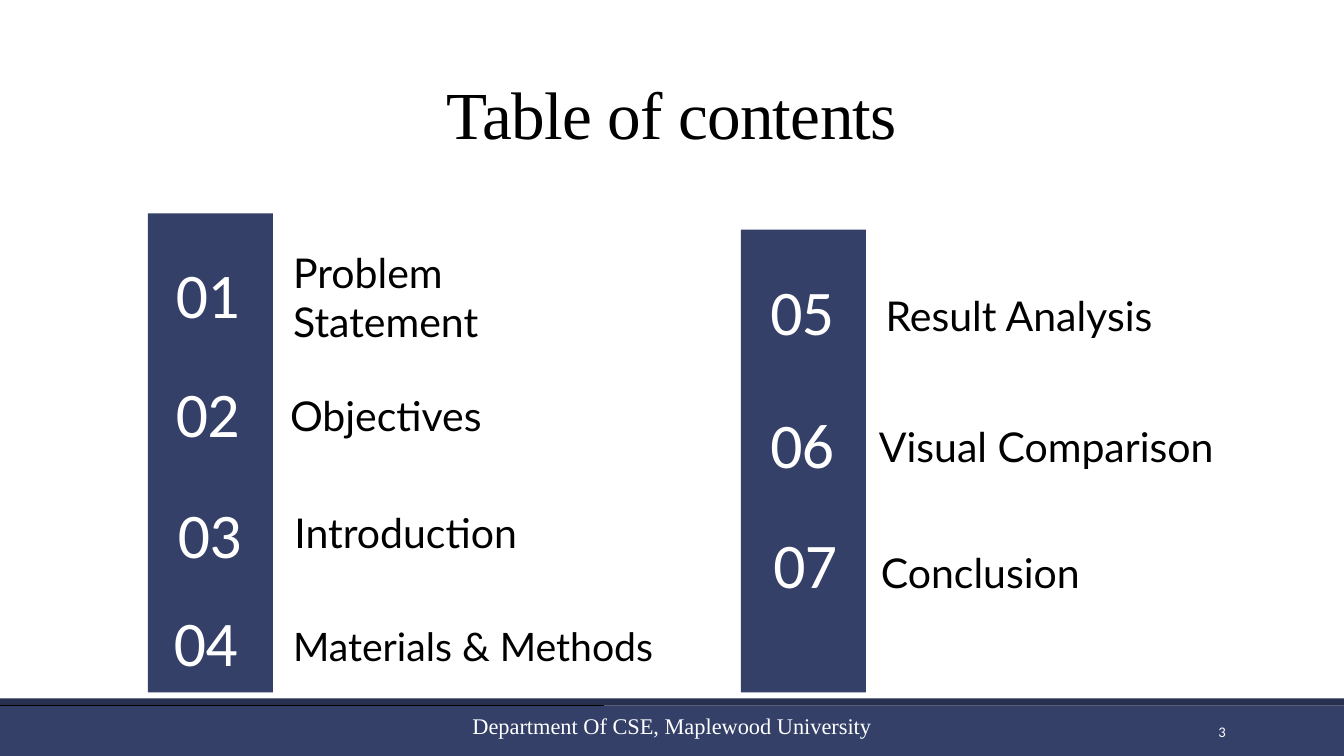
from dataclasses import dataclass

from lxml import etree
from pptx import Presentation
from pptx import util as u
from pptx.dml.color import RGBColor
from pptx.enum import shapes, text
from pptx.oxml.ns import qn


@dataclass(frozen=True)
class Theme:
    navy: RGBColor = RGBColor(0x34, 0x40, 0x68)
    dark_navy: RGBColor = RGBColor(0x27, 0x30, 0x4E)
    black: RGBColor = RGBColor(0, 0, 0)
    white: RGBColor = RGBColor(255, 255, 255)
    serif: str = "Times New Roman"
    sans: str = "Calibri"
    label_font: str = "Lato"
    title_size: float = 48
    number_size: float = 45.4
    label_size: float = 29.3
    small_label_size: float = 28
    footer_size: float = 16
    page_number_size: float = 10.5


THEME = Theme()
WIDTH, HEIGHT = 33.87, 19.05
FOOTER_TOP = 17.78
INSET = 0.33
MIDDLE, BOTTOM = text.MSO_ANCHOR.MIDDLE, text.MSO_ANCHOR.BOTTOM
CENTER, RIGHT = text.PP_ALIGN.CENTER, text.PP_ALIGN.RIGHT

# number, left, top
NUMBERS = [
    ("01", 3.61, 5.38),
    ("02", 3.61, 8.38),
    ("03", 3.66, 11.43),
    ("04", 3.56, 14.15),
    ("05", 18.59, 5.79),
    ("06", 18.59, 9.14),
    ("07", 18.67, 12.17),
]

# label, left, top, width, height, indent, size
LABELS = [
    ("Problem Statement", 6.81, 6.07, 8.48, 2.97, 0.25, THEME.label_size),
    ("Objectives", 6.73, 9.27, 8.48, 2.13, 0.25, THEME.label_size),
    ("Introduction", 6.63, 12.8, 8.48, 1.57, 0.46, THEME.label_size),
    ("Materials & Methods", 6.83, 14.22, 10.82, 2.97, 0.23,
     THEME.small_label_size),
    ("Result Analysis", 21.74, 7.05, 10.08, 1.85, 0.25, THEME.label_size),
    ("Visual Comparison", 21.82, 9.22, 10.08, 2.97, 0, THEME.label_size),
    ("Conclusion", 21.62, 13.26, 8.48, 2.11, 0.25, THEME.label_size),
]


def cm(*lengths):
    return [u.Cm(length) for length in lengths]


def add_block(page, color, *place):
    block = page.shapes.add_shape(shapes.MSO_SHAPE.RECTANGLE, *cm(*place))
    block.shadow.inherit = False
    block.fill.solid()
    block.fill.fore_color.rgb = color
    block.line.fill.background()


def add_rule(page, *ends):
    rule = page.shapes.add_connector(shapes.MSO_CONNECTOR.STRAIGHT, *cm(*ends))
    rule.line.color.rgb = THEME.black
    rule.line.width = u.Pt(0.75)
    etree.SubElement(rule._element.spPr, qn("a:effectLst"))


def write(box, words, font, size, color, align=None, anchor=MIDDLE, inset=None):
    """Fill a box with one formatted paragraph and return the paragraph."""
    frame = box.text_frame
    frame.word_wrap = True
    frame.auto_size = text.MSO_AUTO_SIZE.NONE
    frame.vertical_anchor = anchor
    if inset is not None:
        frame.margin_left = frame.margin_right = u.Cm(inset)
        frame.margin_top = frame.margin_bottom = u.Cm(inset)
    para = frame.paragraphs[0]
    para.text = words
    para.alignment = align
    para.font.name = font
    para.font.size = u.Pt(size)
    para.font.color.rgb = color
    return para


def tighten(para):
    """Apply the heading style's close line and letter spacing."""
    para.line_spacing = 0.9
    para._p.get_or_add_pPr().get_or_add_defRPr().set("spc", "-50")


def add_title(page, words):
    title = page.shapes.title
    title.left, title.top, title.width, title.height = cm(7.09, 1.73, 19.69, 2.03)
    tighten(write(title, words, THEME.serif, THEME.title_size, THEME.black,
                  CENTER, text.MSO_ANCHOR.TOP, INSET))


def add_number(page, number, left, top):
    box = page.shapes.add_textbox(*cm(left, top, 3.25, 4.27))
    tighten(write(box, number, THEME.sans, THEME.number_size, THEME.white,
                  CENTER, inset=INSET))


def add_label(page, label, left, top, width, height, indent, size):
    box = page.shapes.add_textbox(*cm(left, top, width, height))
    para = write(box, label, THEME.label_font, size, THEME.black,
                 anchor=BOTTOM, inset=INSET)
    para._p.get_or_add_pPr().set("marL", str(u.Cm(indent)))


def add_footer(page):
    page_number = page.shapes.add_textbox(*cm(27.51, 17.93, 3.63, 1.02))
    write(page_number, "3", THEME.sans, THEME.page_number_size, THEME.white, RIGHT)
    department = page.shapes.add_textbox(*cm(10.24, FOOTER_TOP, 13.39, 1.02))
    write(department, "Department Of CSE, Maplewood University", THEME.serif,
          THEME.footer_size, THEME.white, CENTER)


def main():
    deck = Presentation()
    deck.slide_width, deck.slide_height = cm(WIDTH, HEIGHT)
    page = deck.slides.add_slide(deck.slide_layouts.get_by_name("Title Only"))

    add_block(page, THEME.navy, 0, FOOTER_TOP, WIDTH, HEIGHT - FOOTER_TOP)
    add_block(page, THEME.dark_navy, 0, 17.6, WIDTH, 0.18)
    add_block(page, THEME.navy, 18.67, 5.79, 3.15, 11.66)
    add_block(page, THEME.navy, 3.73, 5.38, 3.15, 12.07)
    add_rule(page, 0, FOOTER_TOP, 15.21, FOOTER_TOP)

    add_title(page, "Table of contents")
    for number in NUMBERS:
        add_number(page, *number)
    for label in LABELS:
        add_label(page, *label)
    add_footer(page)
    deck.save("out.pptx")


if __name__ == "__main__":
    main()
